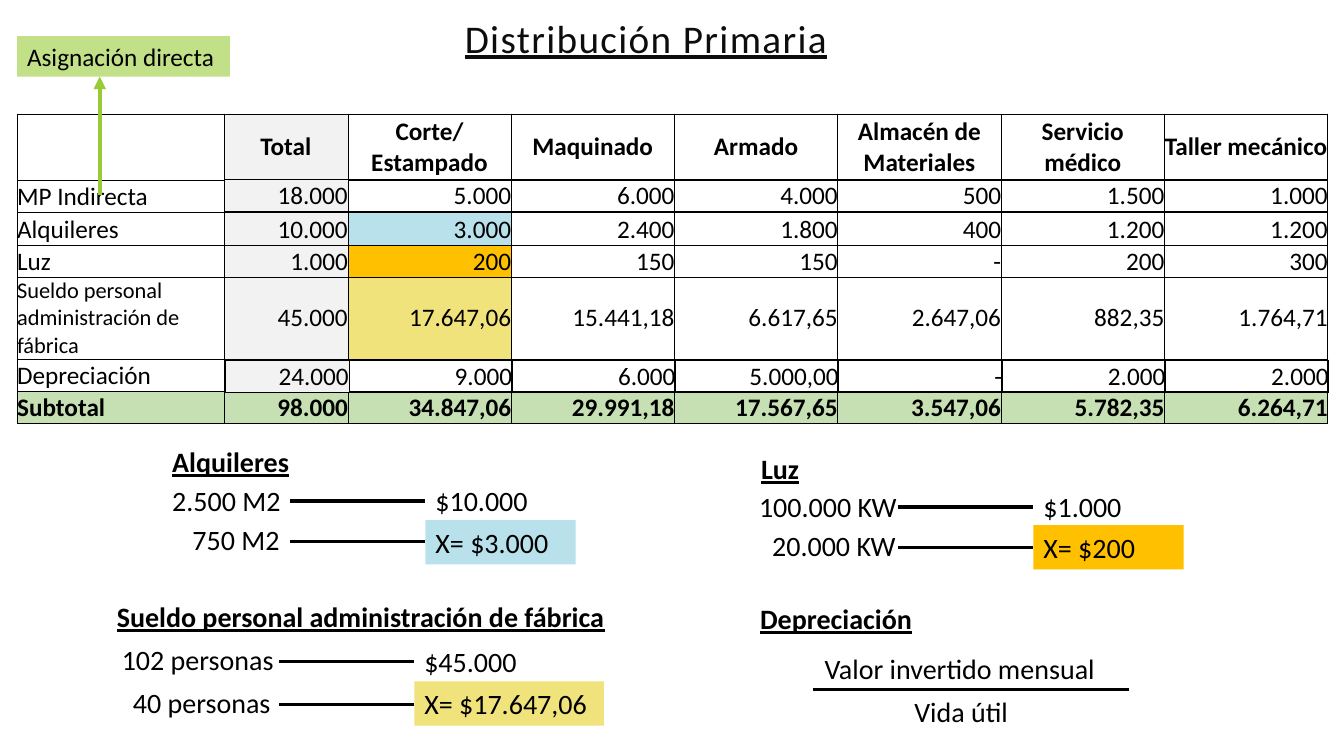
from lxml import etree
from pptx import Presentation
from pptx.dml.color import RGBColor
from pptx.enum.shapes import MSO_CONNECTOR, MSO_SHAPE
from pptx.enum.text import MSO_ANCHOR, MSO_AUTO_SIZE, PP_ALIGN
from pptx.oxml.ns import qn
from pptx.util import Pt

PX = 9144  # 100 px to the inch
RECT, STRAIGHT = MSO_SHAPE.RECTANGLE, MSO_CONNECTOR.STRAIGHT
MIDDLE, BOTTOM = MSO_ANCHOR.MIDDLE, MSO_ANCHOR.BOTTOM
LEFT, CENTER, RIGHT = PP_ALIGN.LEFT, PP_ALIGN.CENTER, PP_ALIGN.RIGHT
FIXED, GROW = MSO_AUTO_SIZE.NONE, MSO_AUTO_SIZE.SHAPE_TO_FIT_TEXT
BLACK = RGBColor(0x00, 0x00, 0x00)
INK = RGBColor(0x0D, 0x0D, 0x0D)
WHITE = RGBColor(0xFF, 0xFF, 0xFF)
GRAY = RGBColor(0xF2, 0xF2, 0xF2)
BLUE = RGBColor(0xB8, 0xE1, 0xEC)
GOLD = RGBColor(0xFF, 0xC0, 0x00)
SAND = RGBColor(0xF0, 0xE3, 0x7C)
MINT = RGBColor(0xC6, 0xE0, 0xB4)
LIME = RGBColor(0xC2, 0xE0, 0x88)
LEAF = RGBColor(0x99, 0xCB, 0x38)

deck = Presentation()
deck.slide_width, deck.slide_height = 1333 * PX, 750 * PX
slide = deck.slides.add_slide(deck.slide_layouts[5])
shapes = slide.shapes


def label(parent, text, left, top, width, height=44, fill=None, wrap=True, size=20, **style):
    box = [n * PX for n in (left, top, width, height)]
    if fill is None:
        shape = parent.add_textbox(*box)
    else:
        shape = parent.add_shape(RECT, *box)
        shape.shadow.inherit = False
        shape.fill.solid()
        shape.fill.fore_color.rgb = fill
        shape.line.fill.background()
    frame = shape.text_frame
    frame.text = text
    frame.word_wrap, frame.auto_size = wrap, GROW
    frame.vertical_anchor = MSO_ANCHOR.TOP
    para = frame.paragraphs[0]
    para.alignment = LEFT
    font = para.runs[0].font
    font.color.rgb = BLACK
    for key, value in {"name": "Calibri", "size": Pt(size), **style}.items():
        setattr(font, key, value)


def rule(parent, x1, y1, x2, y2, color=BLACK, weight=2.25, arrow=False):
    line = parent.add_connector(STRAIGHT, x1 * PX, y1 * PX, x2 * PX, y2 * PX)
    line.line.color.rgb = color
    line.line.width = Pt(weight)
    props = line.element.spPr
    if arrow:
        etree.SubElement(props.find(qn("a:ln")), qn("a:tailEnd"), type="triangle")
    etree.SubElement(props, qn("a:effectLst"))


# Title
title = shapes.title
title.left, title.top, title.width, title.height = 451 * PX, -1 * PX, 485 * PX, 85 * PX
frame = title.text_frame
frame.text = "Distribución Primaria"
frame.auto_size, frame.vertical_anchor, frame.word_wrap = FIXED, MIDDLE, True
para = frame.paragraphs[0]
para.alignment, para.line_spacing = LEFT, 0.8
run = para.runs[0]
run.font.color.rgb = INK
for key, value in {"name": "Calibri", "size": Pt(28), "underline": True}.items():
    setattr(run.font, key, value)
run.font._element.set("spc", "100")

# Cost table, with one strip of values over each cost row
heads = ["", "Total", "Corte/ Estampado", "Maquinado", "Armado",
         "Almacén de Materiales", "Servicio médico", "Taller mecánico"]
sums = ["Subtotal", "98.000", "34.847,06", "29.991,18", "17.567,65",
        "3.547,06", "5.782,35", "6.264,71"]
costs = [
    ("MP Indirecta", 222, 178, 32, None,
     ["18.000", "5.000", "6.000", "4.000", "500", "1.500", "1.000"]),
    ("Alquileres", 222, 211, 32, BLUE,
     ["10.000", "3.000", "2.400", "1.800", "400", "1.200", "1.200"]),
    ("Luz", 222, 243, 32, GOLD,
     ["1.000", "200", "150", "150", "-", "200", "300"]),
    ("Sueldo personal administración de fábrica", 222, 275, 81, SAND,
     ["45.000", "17.647,06", "15.441,18", "6.617,65", "2.647,06", "882,35", "1.764,71"]),
    ("Depreciación", 223, 357, 32, None,
     ["24.000", "9.000", "6.000", "5.000,00", "-", "2.000", "2.000"]),
]
cols = [123] + [162] * 6
names = [[cost[0]] + [""] * 7 for cost in costs]
tall = [66] + [cost[3] for cost in costs] + [32]
grids = [(17, 113, [205] + cols, tall, None, [heads, *names, sums])]
for name, left, top, high, tint, values in costs:
    grids.append((left, top, cols, [high], tint, [values]))

for left, top, wide, tall, tint, rows in grids:
    table = shapes.add_table(len(rows), len(wide), left * PX, top * PX,
                             sum(wide) * PX, sum(tall) * PX).table
    table.first_row = table.horz_banding = False
    for col, width in zip(table.columns, wide):
        col.width = width * PX
    for r, (row, high) in enumerate(zip(rows, tall)):
        table.rows[r].height = high * PX
        for c, text in enumerate(row):
            cell = table.cell(r, c)
            named = len(wide) == 8 and c == 0
            for side in ("left", "right", "top", "bottom"):
                setattr(cell, "margin_" + side, 0)
            cell.vertical_anchor = MIDDLE if row is heads or high == 81 else BOTTOM
            props = cell._tc.get_or_add_tcPr()
            for edge in ("a:lnL", "a:lnR", "a:lnT", "a:lnB"):
                line = etree.SubElement(props, qn(edge), w="6350")
                solid = etree.SubElement(line, qn("a:solidFill"))
                etree.SubElement(solid, qn("a:srgbClr"), val=str(BLACK))
            if row is sums:
                fill = MINT
            elif c == len(wide) - 7:
                fill = GRAY
            elif named and high == 81:
                fill = WHITE
            else:
                fill = tint if c == 1 else None
            if fill is None:
                cell.fill.background()
            else:
                cell.fill.solid()
                cell.fill.fore_color.rgb = fill
            if not text:
                continue
            cell.text = text
            para = cell.text_frame.paragraphs[0]
            para.alignment = CENTER if row is heads else LEFT if named else RIGHT
            font = para.runs[0].font
            font.color.rgb = BLACK
            style = {"name": "Calibri", "size": Pt(16 if named and high == 81 else 18),
                     "bold": row is heads or row is sums}
            for key, value in style.items():
                setattr(font, key, value)

label(shapes, "Asignación directa", 17, 36, 211, 40, LIME, size=18)
rule(shapes, 99, 193, 99, 76, LEAF, 3, True)

# Rule-of-three sums: texts as (text, left, top, width), then line span and heights
sets = [
    ([("2.500 M2", 161, 475, 149), ("$10.000", 422, 475, 149), ("750 M2", 181, 513, 149)],
     288, (497, 537), ("X= $3.000", 422, 516, 149, 44, BLUE)),
    ([("100.000 KW", 743, 481, 162), ("$1.000", 1025, 481, 149), ("20.000 KW", 756, 519, 149)],
     891, (503, 543), ("X= $200", 1025, 521, 149, 44, GOLD)),
    ([("102 personas", 111, 633, 180), ("$45.000", 411, 634, 149), ("40 personas", 122, 675, 180)],
     277, (656, 699), ("X= $17.647,06", 411, 676, 188, 44, SAND)),
]
for texts, start, levels, answer in sets:
    group = shapes.add_group_shape().shapes
    for text in texts:
        label(group, *text)
    for level in levels:
        rule(group, start, level, start + 134, level)
    label(group, *answer)

for head in [("Sueldo personal administración de fábrica", 106, 590, 508),
             ("Alquileres", 161, 436, 137), ("Luz", 745, 443, 58),
             ("Depreciación", 744, 592, 172)]:
    label(shapes, *head, wrap=False, bold=True, underline=True)

ratio = shapes.add_group_shape().shapes
label(ratio, "Valor invertido mensual", 808, 641, 291, wrap=False)
rule(ratio, 806, 684, 1120, 684)
label(ratio, "Vida útil", 897, 684, 114, wrap=False)

deck.save("out.pptx")
